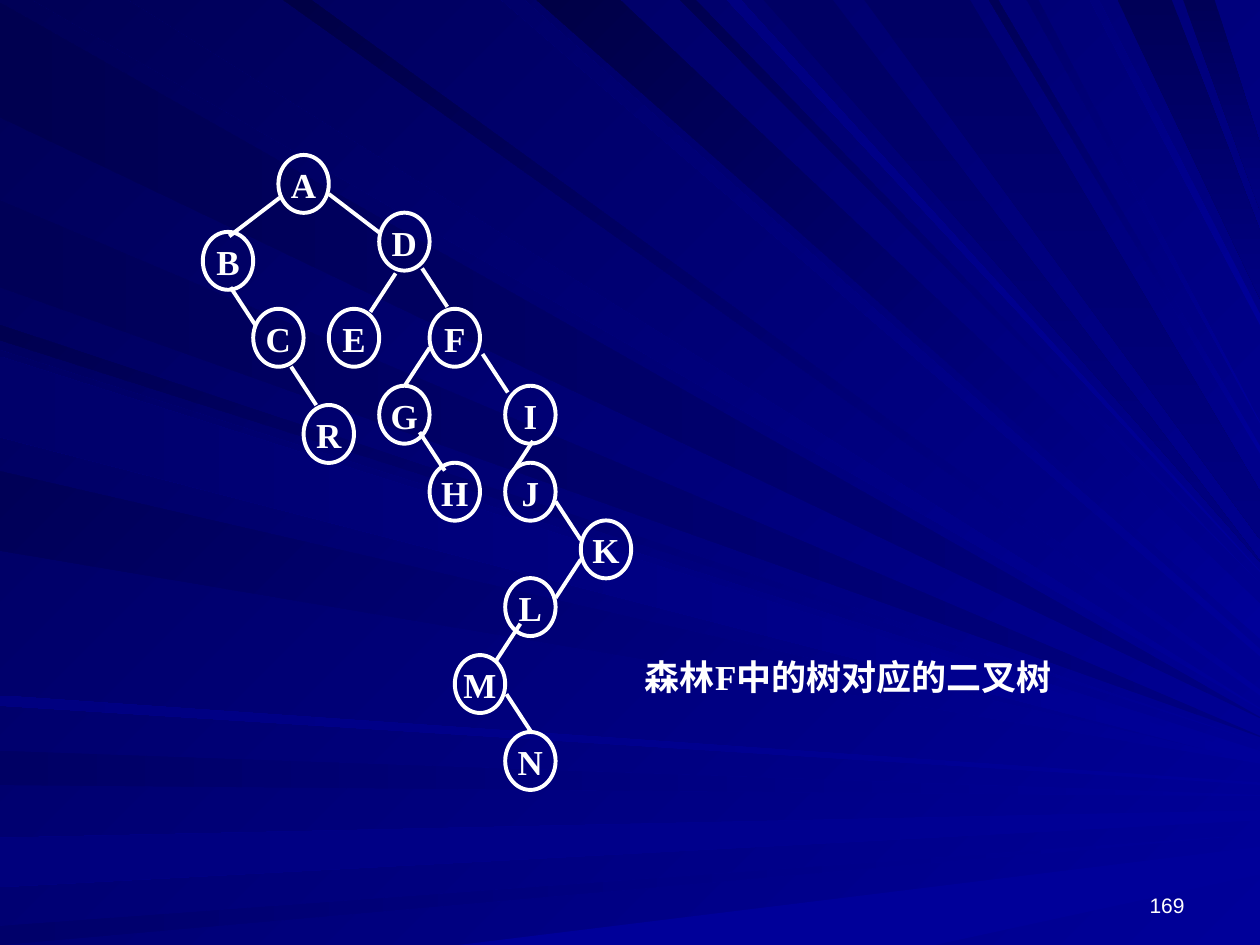
import pptx
import pptx.util
import pptx.dml.color
import pptx.enum.shapes
import pptx.enum.text
from lxml import etree
from pptx.util import Inches

COLORS = {"white": "FFFFFF", "blue": "000099", "navy": "000080", "dusk": "000064",
          "dark": "000057", "night": "000050", "black": "000046", "dim": "00006A",
          "soft": "00007C"}
SERIF, SANS = "Times New Roman", "Arial"
ALIGN = pptx.enum.text.PP_ALIGN
ANCHOR = pptx.enum.text.MSO_ANCHOR
WIDTH, HEIGHT = 10, 7.5

# Gradient directions, clockwise
LEFT, DOWN, UP_LEFT = 180, 90, 225

# Light rays end on the right edge: side of origin, its two places there,
# the two heights on the right edge, first and last colour, direction
RAYS = [
    ("left", 0.02, 0.93, 5.69, 5.7, "navy", "night", LEFT),
    ("top", 0.26, 1.01, 5.63, 5.62, "blue", "dark", UP_LEFT),
    ("left", 5.96, 6.23, 6.31, 6.32, "blue", "dusk", LEFT),
    ("left", 6.65, 7.04, 6.43, 6.51, "blue", "soft", LEFT),
    ("left", 7.35, 7.55, 6.62, 6.62, "blue", "dim", LEFT),
    ("bottom", 3.64, 7.42, 6.72, 6.94, "blue", "blue", LEFT),
    ("left", 2.58, 2.7, 5.89, 5.89, "blue", "night", UP_LEFT),
    ("left", 1.59, 2.28, 5.84, 5.85, "navy", "dark", LEFT),
    ("top", 3.98, 4.16, 5.21, 5.15, "blue", "dim", UP_LEFT),
    ("top", 4.26, 4.92, 5.07, 4.79, "blue", "black", UP_LEFT),
    ("top", 5.4, 5.52, 4.63, 4.63, "blue", "night", UP_LEFT),
    ("top", 6.06, 6.61, 4.46, 4.45, "dusk", "navy", DOWN),
    ("top", 8.87, 9.3, 2.37, 1.83, "dark", "navy", DOWN),
    ("top", 9.39, 9.64, 1.67, 1.14, "dark", "navy", DOWN),
    ("left", 2.78, 3.42, 5.96, 6.02, "blue", "dusk", UP_LEFT),
    ("left", 3.74, 4.37, 6.05, 6.06, "blue", "dark", UP_LEFT),
    ("left", 5.52, 5.6, 6.21, 6.23, "blue", "navy", LEFT),
    ("top", 2.25, 2.47, 5.52, 5.47, "blue", "black", UP_LEFT),
    ("top", 5.77, 5.88, 4.54, 4.53, "blue", "navy", UP_LEFT),
    ("top", 6.86, 7.7, 4.28, 3.9, "dusk", "navy", DOWN),
    ("top", 7.85, 7.92, 3.6, 3.54, "blue", "dark", UP_LEFT),
    ("top", 8.15, 8.24, 3.36, 3.35, "blue", "dim", UP_LEFT),
    ("top", 8.65, 8.72, 2.58, 2.49, "blue", "soft", UP_LEFT),
    ("left", 2.83, 3.47, 6.01, 6.06, "blue", "dim", LEFT),
]

# Binary tree: column and row of each node on a fine grid
TREE_LEFT, TREE_TOP = 1.61, 1.23
COLUMN, ROW = 0.2, 4.58 / 30
NODE_SIZE = (0.4, 0.46)
NODES = {
    "A": (3, 0), "B": (0, 4), "C": (2, 8), "R": (4, 13), "D": (7, 3),
    "E": (5, 8), "F": (9, 8), "G": (7, 12), "H": (9, 16), "I": (12, 12),
    "J": (12, 16), "K": (15, 19), "L": (12, 22), "M": (10, 26), "N": (12, 30),
}
# Upper end of each edge, from parent to child
EDGES = {
    "AB": (2.22, 1.57), "BC": (1.83, 2.28), "CR": (2.31, 2.91), "AD": (2.61, 1.54),
    "DE": (3.14, 2.17), "DF": (3.35, 2.13), "FG": (3.41, 2.76), "GH": (3.33, 3.43),
    "FI": (3.83, 2.81), "IJ": (4.23, 3.5), "JK": (4.41, 3.98), "KL": (4.61, 4.44),
    "LM": (4.13, 4.95), "MN": (4.02, 5.51),
}


def rgb(name):
    return pptx.dml.color.RGBColor.from_string(COLORS[name])


def paint(fill, first, last, angle):
    """Fill with a gradient at a clockwise angle."""
    fill.gradient()
    fill.gradient_angle = 360 - angle
    for stop, color in zip(fill.gradient_stops, (first, last)):
        stop.color.rgb = rgb(color)


def outline(line):
    line.color.rgb = rgb("white")
    line.width = pptx.util.Pt(2.25)


def write(shape, text, *, size=20, font=SERIF, bold=True, align=ALIGN.CENTER,
          anchor=ANCHOR.TOP, inset_x=0, inset_y=0):
    frame = shape.text_frame
    frame.word_wrap = True
    frame.vertical_anchor = anchor
    frame.margin_left = frame.margin_right = Inches(inset_x)
    frame.margin_top = frame.margin_bottom = Inches(inset_y)
    paragraph = frame.paragraphs[0]
    paragraph.alignment = align
    run = paragraph.add_run()
    run.text = text
    run.font.name, run.font.size, run.font.bold = font, pptx.util.Pt(size), bold
    run.font.color.rgb = rgb("white")


def add_ray(shapes, side, near, far, near_end, far_end, first, last, angle):
    if side == "left":
        origin = [(0, near), (0, min(far, HEIGHT))]
    else:
        edge = 0 if side == "top" else HEIGHT
        origin = [(near, edge), (far, edge)]
    corners = origin + [(WIDTH, far_end), (WIDTH, near_end)]
    start, *rest = [(Inches(x), Inches(y)) for x, y in corners]
    builder = shapes.build_freeform(*start)
    builder.add_line_segments(rest, close=True)
    ray = builder.convert_to_shape()
    ray.shadow.inherit = False
    ray.line.fill.background()
    paint(ray.fill, first, last, angle)


def add_node(shapes, letter, column, row):
    corner = (TREE_LEFT + column * COLUMN, TREE_TOP + row * ROW)
    node = shapes.add_shape(pptx.enum.shapes.MSO_SHAPE.OVAL,
                            *map(Inches, (*corner, *NODE_SIZE)))
    node.shadow.inherit = False
    node.fill.background()
    outline(node.line)
    write(node, letter)


def add_edge(shapes, parent, child, x, y):
    """Edges drop two rows towards the child; those of the root are wider."""
    run = COLUMN * (2 if parent == "A" else 1)
    if NODES[child][0] < NODES[parent][0] or (parent, child) == ("I", "J"):
        run = -run
    edge = shapes.add_connector(pptx.enum.shapes.MSO_CONNECTOR.STRAIGHT,
                                *map(Inches, (x, y, x + run, y + 2 * ROW)))
    outline(edge.line)
    etree.SubElement(edge._element.spPr, pptx.oxml.ns.qn("a:effectLst"))


def add_label(shapes, box, text, **style):
    write(shapes.add_textbox(*map(Inches, box)), text, **style)


def main():
    deck = pptx.Presentation()
    deck.slide_width, deck.slide_height = Inches(WIDTH), Inches(HEIGHT)
    slide = deck.slides.add_slide(deck.slide_layouts[6])
    shapes = slide.shapes

    # Backdrop
    paint(slide.background.fill, "blue", "dark", UP_LEFT)
    for ray in RAYS:
        add_ray(shapes, *ray)

    # Tree
    for letter, place in NODES.items():
        add_node(shapes, letter, *place)
    for (parent, child), start in EDGES.items():
        add_edge(shapes, parent, child, *start)

    # Caption and page number
    add_label(shapes, (5.02, 5.2, 4, 0.46), "森林F中的树对应的二叉树",
              align=ALIGN.JUSTIFY, inset_x=0.1)
    add_label(shapes, (7.17, 6.83, 2.33, 0.5), "169", size=12, font=SANS, bold=False,
              align=ALIGN.RIGHT, anchor=ANCHOR.BOTTOM, inset_x=0.1, inset_y=0.05)

    deck.save("out.pptx")


if __name__ == "__main__":
    main()
